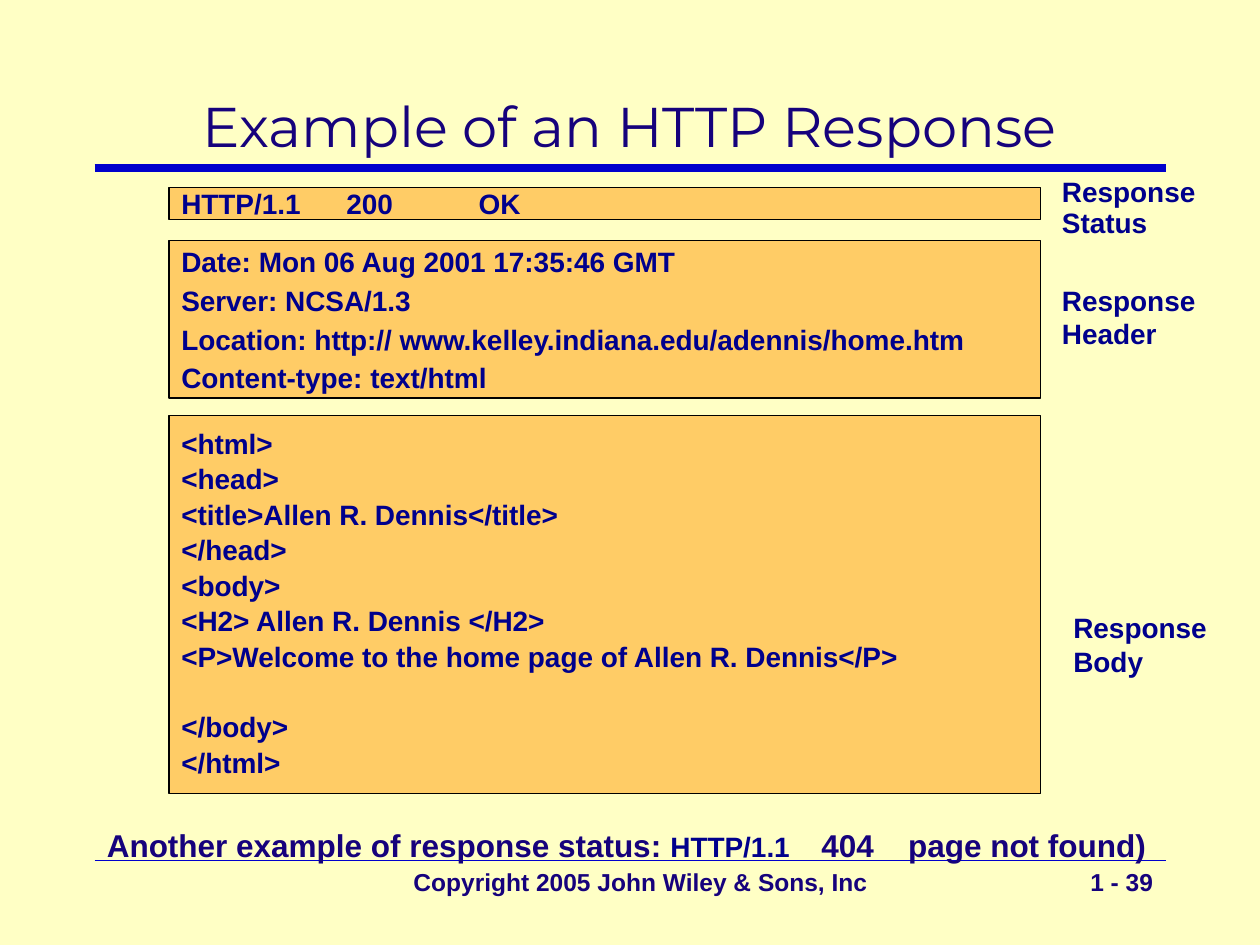
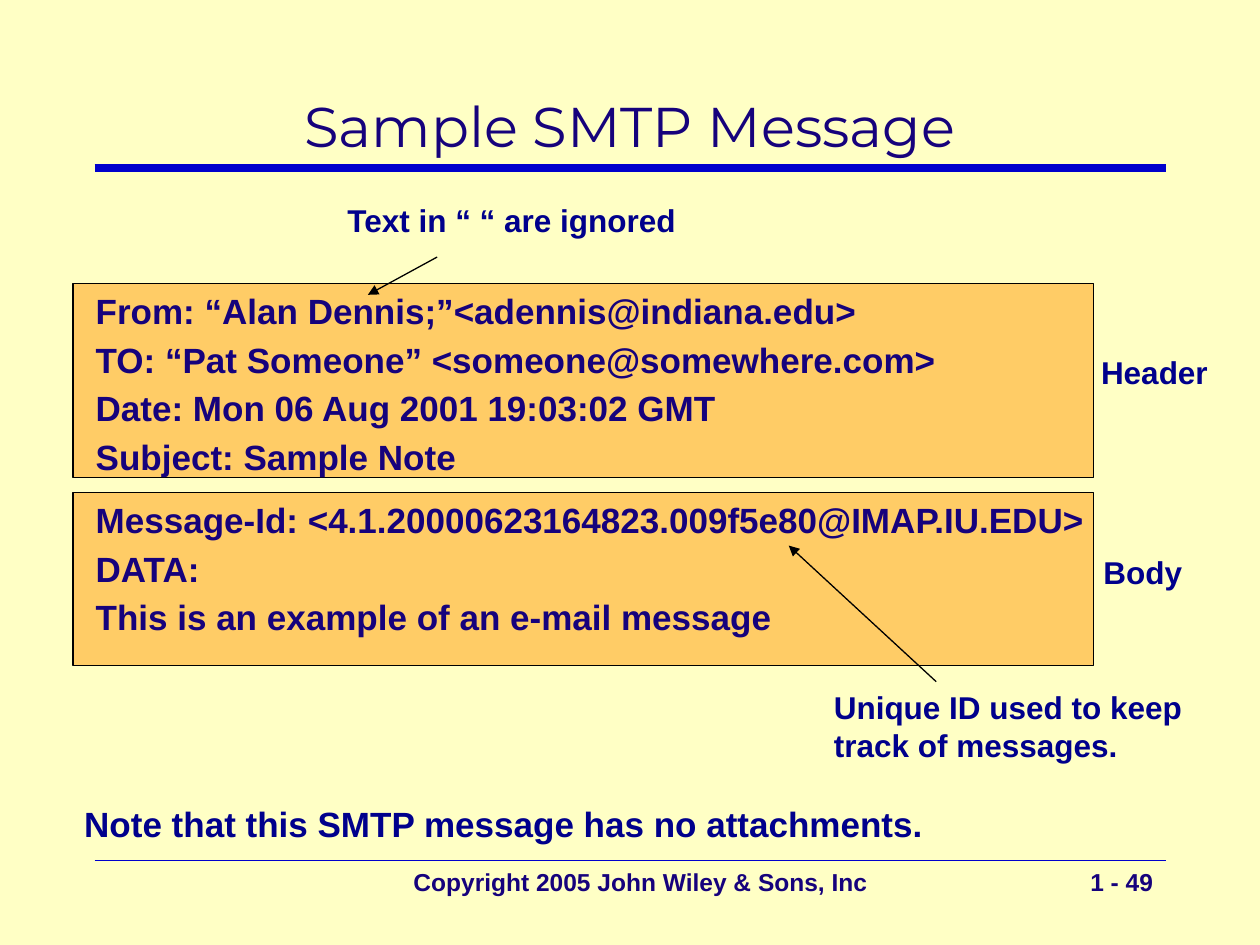
from lxml.etree import SubElement
from pptx import Presentation
from pptx.dml.color import RGBColor as RGB
from pptx.enum.shapes import MSO_CONNECTOR as CONN, MSO_SHAPE as SHAPE
from pptx.enum.text import MSO_ANCHOR as ANCHOR, PP_ALIGN as ALIGN
from pptx.oxml.ns import qn
from pptx.util import Inches, Pt

C = {
    "cream": "FFFFC5",
    "rule": "0000CC",
    "panel": "FFCC66",
    "indigo": "16027C",
    "navy": "00008C",
    "black": "000000",
}


def write(tf, paragraphs, size=16, color="navy", font="Arial", bold=True,
          align=ALIGN.LEFT, anchor=ANCHOR.TOP, left=0.1, right=0.1,
          after=0, spacing=1.0, tabs=(), before=None):
    tf.word_wrap = True
    tf.vertical_anchor = anchor
    tf.margin_left, tf.margin_right = Inches(left), Inches(right)
    tf.margin_top = tf.margin_bottom = Inches(0.05)
    for i, runs in enumerate(paragraphs):
        p = tf.paragraphs[0] if i == 0 else tf.add_paragraph()
        if tabs:
            tab_list = SubElement(p._p.get_or_add_pPr(), qn("a:tabLst"))
            for pos in tabs:
                SubElement(tab_list, qn("a:tab"), pos=str(Inches(pos)), algn="l")
        p.alignment = align
        p.line_spacing = spacing
        p.space_before = Pt((before or {}).get(i, 0))
        p.space_after = Pt(after)
        for text, run_size, run_color in [(runs, size, color)] if isinstance(runs, str) else runs:
            r = p.add_run()
            r.text = text
            r.font.name, r.font.size, r.font.bold = font, Pt(run_size), bold
            r.font.color.rgb = RGB.from_string(C[run_color])


def add_line(s, x1, y1, x2, y2, color="black", width=0.75, arrow=False):
    line = s.shapes.add_connector(CONN.STRAIGHT, Inches(x1), Inches(y1), Inches(x2), Inches(y2))
    line.line.color.rgb = RGB.from_string(C[color])
    line.line.width = Pt(width)
    if arrow:
        SubElement(line.line._get_or_add_ln(), qn("a:tailEnd"), type="triangle")
    SubElement(line._element.spPr, qn("a:effectLst"))


prs = Presentation()
prs.slide_width, prs.slide_height = Inches(10), Inches(7.5)
fill = prs.slide_master.background.fill
fill.solid()
fill.fore_color.rgb = RGB.from_string(C["cream"])

header_lines = [
    "Date: Mon 06 Aug 2001 17:35:46 GMT",
    "Server: NCSA/1.3",
    "Location: http:// www.kelley.indiana.edu/adennis/home.htm",
    "Content-type: text/html",
]
html_lines = [
    "<html>",
    "<head>",
    "<title>Allen R. Dennis</title>",
    "</head>",
    "<body>",
    "<H2> Allen R. Dennis </H2>",
    "<P>Welcome to the home page of Allen R. Dennis</P>",
    "</body>",
    "</html>",
]
mail_header = [
    "From: “Alan Dennis;”<adennis@indiana.edu>",
    "TO: “Pat Someone” <someone@somewhere.com>",
    "Date: Mon 06 Aug 2001 19:03:02 GMT",
    "Subject: Sample Note",
]
mail_body = [
    "Message-Id: <4.1.20000623164823.009f5e80@IMAP.IU.EDU>",
    "DATA:",
    "This is an example of an e-mail message",
]
other_status = [
    ("Another example of response status: ", 18, "indigo"),
    ("HTTP/1.1\t", 16, "navy"),
    ("404\tpage not found)", 18, "indigo"),
]
middle = dict(anchor=ANCHOR.MIDDLE)
mail = dict(size=20, color="indigo", left=0.18, right=0, after=3.7)

slides = [
    dict(
        title="Example of an HTTP Response",
        page="1 - 39",
        panels=[
            (1.34, 1.49, 6.92, 0.25, ["HTTP/1.1\t200\tOK"], dict(middle, tabs=(1.31, 2.36))),
            (1.34, 1.91, 6.92, 1.25, header_lines, dict(middle, after=3)),
            (1.34, 3.3, 6.92, 3, html_lines, dict(middle, after=3, spacing=0.9, before={7: 20.3})),
        ],
        labels=[
            (8.33, 1.37, 1.49, 0.58, ["Response Status"], dict(spacing=0.9)),
            (8.33, 2.2, 1.49, 0.64, ["Response Header"], {}),
            (8.42, 4.8, 1.32, 0.64, ["Response Body"], {}),
            (0.75, 6.51, 8.6, 0.4, [other_status], dict(tabs=(5.67, 6.36))),
        ],
        arrows=[],
    ),
    dict(
        title="Sample SMTP Message",
        page="1 - 49",
        panels=[
            (0.58, 2.25, 8.1, 1.54, mail_header, mail),
            (0.58, 3.91, 8.1, 1.37, mail_body, mail),
        ],
        labels=[
            (8.64, 2.75, 1.2, 0.4, ["Header"], dict(size=18)),
            (8.66, 4.34, 1.2, 0.4, ["Body"], dict(size=18)),
            (2.66, 1.55, 3.16, 0.4, ["Text in “ “ are ignored"], dict(size=18)),
            (6.52, 5.41, 3.16, 0.7, ["Unique ID used to keep track of messages."], dict(size=18)),
            (0.57, 6.32, 7.2, 0.44, ["Note that this SMTP message has no attachments."], dict(size=20)),
        ],
        arrows=[(3.47, 2.04, 2.92, 2.34), (7.43, 5.41, 6.26, 4.33)],
    ),
]

footer = dict(size=14, color="indigo")
for content in slides:
    s = prs.slides.add_slide(prs.slide_layouts[5])
    title = s.shapes.title
    title.left, title.top = Inches(0.75), Inches(0.58)
    title.width, title.height = Inches(8.5), Inches(0.83)
    write(title.text_frame, [content["title"]], size=32, color="indigo", font="Montserrat",
          bold=False, align=ALIGN.CENTER, anchor=ANCHOR.MIDDLE)
    for y, width in ((1.33, 4.5), (6.83, 1)):
        add_line(s, 0.75, y, 9.25, y, "rule", width)

    for x, y, w, h, lines, style in content["panels"]:
        sp = s.shapes.add_shape(SHAPE.RECTANGLE, Inches(x), Inches(y), Inches(w), Inches(h))
        sp.shadow.inherit = False
        sp.fill.solid()
        sp.fill.fore_color.rgb = RGB.from_string(C["panel"])
        sp.line.color.rgb = RGB.from_string(C["black"])
        sp.line.width = Pt(0.75)
        write(sp.text_frame, lines, **style)

    footers = [
        (3, 6.83, 4.17, 0.5, ["Copyright 2005 John Wiley & Sons, Inc"], dict(footer, align=ALIGN.CENTER)),
        (7.17, 6.83, 2.08, 0.5, [content["page"]], dict(footer, align=ALIGN.RIGHT)),
    ]
    for x, y, w, h, lines, style in content["labels"] + footers:
        sp = s.shapes.add_textbox(Inches(x), Inches(y), Inches(w), Inches(h))
        write(sp.text_frame, lines, **style)

    for ends in content["arrows"]:
        add_line(s, *ends, arrow=True)

prs.save("out.pptx")
